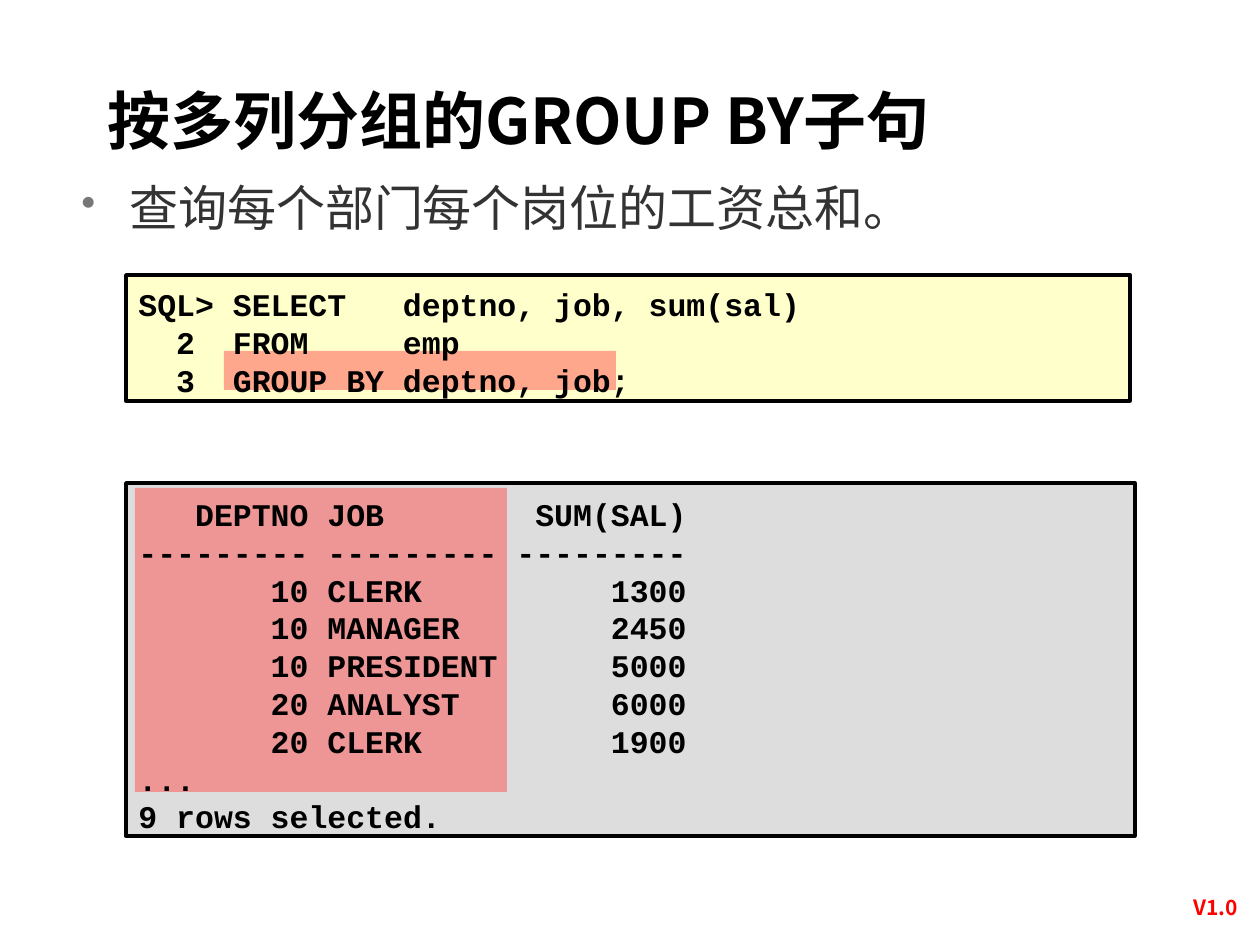
from dataclasses import dataclass

from lxml import etree
from pptx import Presentation
from pptx.dml.color import RGBColor
from pptx.enum.shapes import MSO_SHAPE
from pptx.enum.text import MSO_ANCHOR, PP_ALIGN
from pptx.oxml.ns import qn
from pptx.util import Pt

RECTANGLE = MSO_SHAPE.RECTANGLE
TOP, MIDDLE = MSO_ANCHOR.TOP, MSO_ANCHOR.MIDDLE
LEFT, CENTER = PP_ALIGN.LEFT, PP_ALIGN.CENTER

PX_PER_INCH = 126
EMU_PER_PX = 914400 / PX_PER_INCH
SANS, MONO = "Noto Sans CJK SC", "Courier New"
COLORS = {
    "black": "000000",
    "body": "333333",
    "bullet": "777777",
    "version": "FF0000",
    "query": "FFFFCC",
    "result": "DDDDDD",
    "highlight": "FF5050",
}


@dataclass(frozen=True)
class Box:
    left: int
    top: int
    width: int
    height: int

    def emu(self) -> list[int]:
        return [px(n) for n in (self.left, self.top, self.width, self.height)]


@dataclass(frozen=True)
class Panel:
    box: Box
    fill: str
    outlined: bool = True
    opacity: int = 100


@dataclass(frozen=True)
class Label:
    box: Box
    lines: list[str]
    size: int
    color: str = "black"
    font: str = SANS
    bold: bool = True
    align: int = LEFT
    anchor: int = TOP
    spacing: float | Pt = 0.9
    bulleted: bool = False


def px(length: int) -> int:
    return round(length * EMU_PER_PX)


def rgb(name: str) -> RGBColor:
    return RGBColor.from_string(COLORS[name])


def draw_panel(slide, panel: Panel) -> None:
    shape = slide.shapes.add_shape(RECTANGLE, *panel.box.emu())
    shape.shadow.inherit = False
    shape.fill.solid()
    shape.fill.fore_color.rgb = rgb(panel.fill)
    if panel.opacity < 100:
        color = shape.fill._xPr.find(".//" + qn("a:srgbClr"))
        etree.SubElement(color, qn("a:alpha"), val=str(panel.opacity * 1000))
    if panel.outlined:
        shape.line.color.rgb = rgb("black")
        shape.line.width = Pt(2)
    else:
        shape.line.fill.background()


def add_bullet(paragraph) -> None:
    """Give the paragraph a hanging bullet in its own colour and size."""
    props = paragraph._p.get_or_add_pPr()
    indent = px(48)
    props.set("marL", str(indent))
    props.set("indent", str(-indent))
    color = etree.SubElement(props, qn("a:buClr"))
    etree.SubElement(color, qn("a:srgbClr"), val=COLORS["bullet"])
    etree.SubElement(props, qn("a:buSzPct"), val="85000")
    etree.SubElement(props, qn("a:buChar"), char="•")


def draw_label(slide, label: Label) -> None:
    frame = slide.shapes.add_textbox(*label.box.emu()).text_frame
    frame.word_wrap = True
    frame.vertical_anchor = label.anchor
    for number, line in enumerate(label.lines):
        paragraph = frame.add_paragraph() if number else frame.paragraphs[0]
        paragraph.alignment = label.align
        paragraph.line_spacing = label.spacing
        if label.bulleted:
            add_bullet(paragraph)
        run = paragraph.add_run()
        run.text = line
        run.font.name = label.font
        run.font.size = Pt(label.size)
        run.font.bold = label.bold
        run.font.color.rgb = rgb(label.color)
        etree.SubElement(run._r.get_or_add_rPr(), qn("a:ea"), typeface=label.font)


def code(box: Box, lines: list[str]) -> Label:
    return Label(box, lines, 18, font=MONO, anchor=MIDDLE, spacing=Pt(21.6))


def result_line(deptno: str, job: str, total: str) -> str:
    """Lay out one row in the three nine-character columns."""
    return f"{deptno:>9} {job:<9} {total:>9}"


QUERY = [
    "SQL> SELECT   deptno, job, sum(sal)",
    "  2  FROM     emp",
    "  3  GROUP BY deptno, job;",
]
RESULT_ROWS = [
    ("DEPTNO", "JOB", "SUM(SAL)"),
    ("-" * 9, "-" * 9, "-" * 9),
    ("10", "CLERK", "1300"),
    ("10", "MANAGER", "2450"),
    ("10", "PRESIDENT", "5000"),
    ("20", "ANALYST", "6000"),
    ("20", "CLERK", "1900"),
]
RESULT = [result_line(*row) for row in RESULT_ROWS] + ["...", "9 rows selected."]

PANELS = [
    Panel(Box(126, 275, 1004, 126), "query"),
    Panel(Box(126, 483, 1009, 353), "result"),
    Panel(Box(224, 351, 392, 39), "highlight", outlined=False, opacity=50),
    Panel(Box(135, 488, 372, 304), "highlight", outlined=False, opacity=50),
]
LABELS = [
    Label(Box(1166, 891, 99, 38), ["V1.0"], 12, "version", align=CENTER),
    Label(Box(95, 84, 1071, 116), ["按多列分组的GROUP BY子句"], 36),
    code(Box(126, 277, 1008, 130), QUERY),
    code(Box(126, 486, 1013, 358), RESULT),
    Label(Box(69, 178, 1115, 72), ["查询每个部门每个岗位的工资总和。"], 28, "body",
          bold=False, bulleted=True),
]


def main() -> None:
    deck = Presentation()
    deck.slide_width, deck.slide_height = px(1260), px(945)
    slide = deck.slides.add_slide(deck.slide_layouts[6])
    for panel in PANELS:
        draw_panel(slide, panel)
    for label in LABELS:
        draw_label(slide, label)
    deck.save("out.pptx")


if __name__ == "__main__":
    main()
